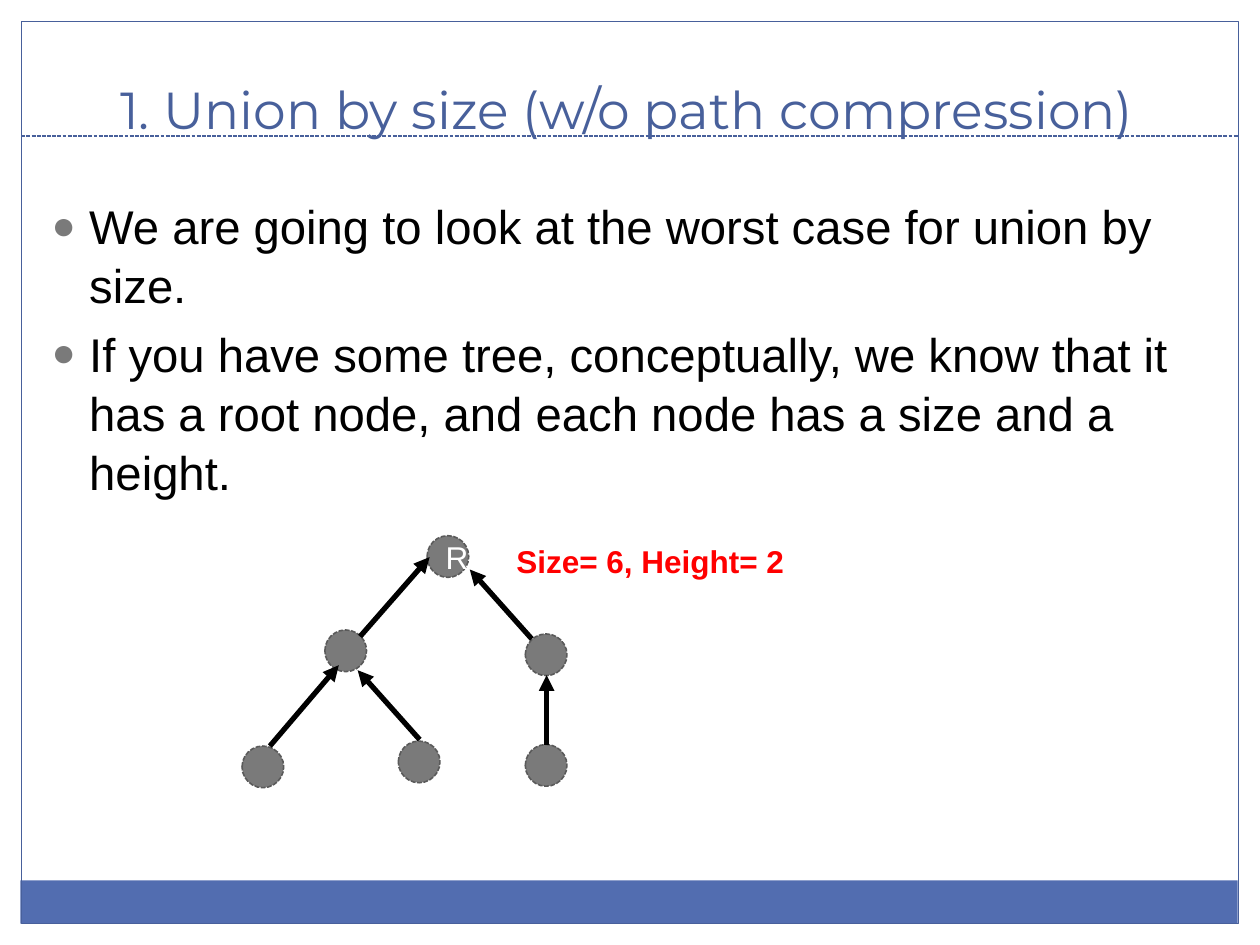
import pptx
import pptx.util
import pptx.dml.color
import pptx.enum.dml
import pptx.enum.shapes
import pptx.enum.text
import pptx.oxml.ns
from lxml import etree

Cm, Pt = pptx.util.Cm, pptx.util.Pt
Shape = pptx.enum.shapes.MSO_SHAPE
Align = pptx.enum.text.PP_ALIGN
Anchor = pptx.enum.text.MSO_ANCHOR
DASH = pptx.enum.dml.MSO_LINE.SQUARE_DOT
qn = pptx.oxml.ns.qn


def color(code):
    return pptx.dml.color.RGBColor.from_string(code)


def write(frame, *lines, size=18, font="Arial", ink="000000", bold=False,
          align=Align.LEFT, anchor=Anchor.TOP, wrap=True):
    """Fill a text frame with one paragraph per line, and return the paragraphs."""
    frame.auto_size = pptx.enum.text.MSO_AUTO_SIZE.NONE
    frame.word_wrap = wrap
    frame.vertical_anchor = anchor
    frame.text = "\n".join(lines)
    for para in frame.paragraphs:
        para.alignment = align
        for run in para.runs:
            run.font.size, run.font.name = Pt(size), font
            run.font.bold = bold
            run.font.color.rgb = color(ink)
    return frame.paragraphs


def stroke(line, code, width, dash=None):
    line.color.rgb = color(code)
    line.width = Pt(width)
    if dash:
        line.dash_style = dash


class Deck:
    blue, band, gray, edge = "48609B", "526DB0", "7A7A7A", "5A5A5A"
    node = 0.84

    def __init__(self):
        self.show = pptx.Presentation()
        self.show.slide_width, self.show.slide_height = Cm(25.4), Cm(19.05)
        self.slide = self.show.slides.add_slide(self.show.slide_layouts[5])
        self.shapes = self.slide.shapes

    def shape(self, kind, left, top, width, height, fill=None):
        item = self.shapes.add_shape(kind, Cm(left), Cm(top), Cm(width), Cm(height))
        item.shadow.inherit = False
        if fill:
            item.fill.solid()
            item.fill.fore_color.rgb = color(fill)
        else:
            item.fill.background()
        item.line.fill.background()
        return item

    def line(self, start, end, code, width, dash=None, arrow=False):
        kind = pptx.enum.shapes.MSO_CONNECTOR.STRAIGHT
        item = self.shapes.add_connector(kind, *map(Cm, start + end))
        stroke(item.line, code, width, dash)
        props = item._element.spPr
        if arrow:
            etree.SubElement(props.find(qn("a:ln")), qn("a:tailEnd"), type="triangle")
        etree.SubElement(props, qn("a:effectLst"))

    def frame(self):
        self.shape(Shape.RECTANGLE, 0.41, 17.75, 24.54, 0.87, self.band)
        border = self.shape(Shape.RECTANGLE, 0.43, 0.43, 24.54, 18.19)
        stroke(border.line, self.blue, 0.75)
        self.line((0.43, 2.74), (24.97, 2.74), self.blue, 0.75, DASH)

    def title(self, text):
        item = self.shapes.title
        item.left, item.top = Cm(0.79), Cm(0.84)
        item.width, item.height = Cm(23.7), Cm(2.11)
        write(item.text_frame, text, size=29.7, font="Montserrat", ink=self.blue,
              align=Align.CENTER, anchor=Anchor.BOTTOM)

    def box(self, left, top, width, height):
        area = map(Cm, (left, top, width, height))
        return self.shapes.add_textbox(*area).text_frame

    def bullets(self, frame, *lines):
        for para in write(frame, *lines, size=27):
            para.space_before = Pt(5.4)
            para.line_spacing = 1.04
            props = para._p.get_or_add_pPr()
            props.set("marL", str(Cm(0.76)))
            props.set("indent", str(-Cm(0.76)))
            tint = etree.SubElement(props, qn("a:buClr"))
            etree.SubElement(tint, qn("a:srgbClr"), val=self.gray)
            etree.SubElement(props, qn("a:buSzPct"), val="85000")
            etree.SubElement(props, qn("a:buFont"), typeface="Arial")
            etree.SubElement(props, qn("a:buChar"), char="●")

    def circle(self, left, top, text=""):
        item = self.shape(Shape.OVAL, left, top, self.node, self.node, self.gray)
        stroke(item.line, self.edge, 0.9, DASH)
        if text:
            write(item.text_frame, text, ink="FFFFFF", align=Align.CENTER,
                  anchor=Anchor.MIDDLE)


def main():
    deck = Deck()
    deck.frame()
    deck.title("1. Union by size (w/o path compression)")
    deck.bullets(
        deck.box(0.79, 3.81, 23.62, 7.67),
        "We are going to look at the worst case for union by size.",
        "If you have some tree, conceptually, we know that it has a root node, "
        "and each node has a size and a height.")

    deck.circle(8.61, 10.8, "R")
    for spot in ((6.55, 12.7), (10.59, 12.78),
                 (4.88, 15.04), (8.03, 14.94), (10.59, 15.01)):
        deck.circle(*spot)

    links = (((5.44, 15.04), (6.83, 13.41)), ((8.46, 14.91), (7.21, 13.51)),
             ((11.02, 15.01), (11.02, 13.61)), ((7.26, 12.83), (8.66, 11.23)),
             ((10.72, 12.88), (9.47, 11.48)))
    for child, parent in links:
        deck.line(child, parent, "000000", 3, arrow=True)

    write(deck.box(10.16, 10.8, 5.97, 1.02), "Size= 6, Height= 2",
          ink="FF0000", bold=True, wrap=False)
    deck.show.save("out.pptx")


if __name__ == "__main__":
    main()
